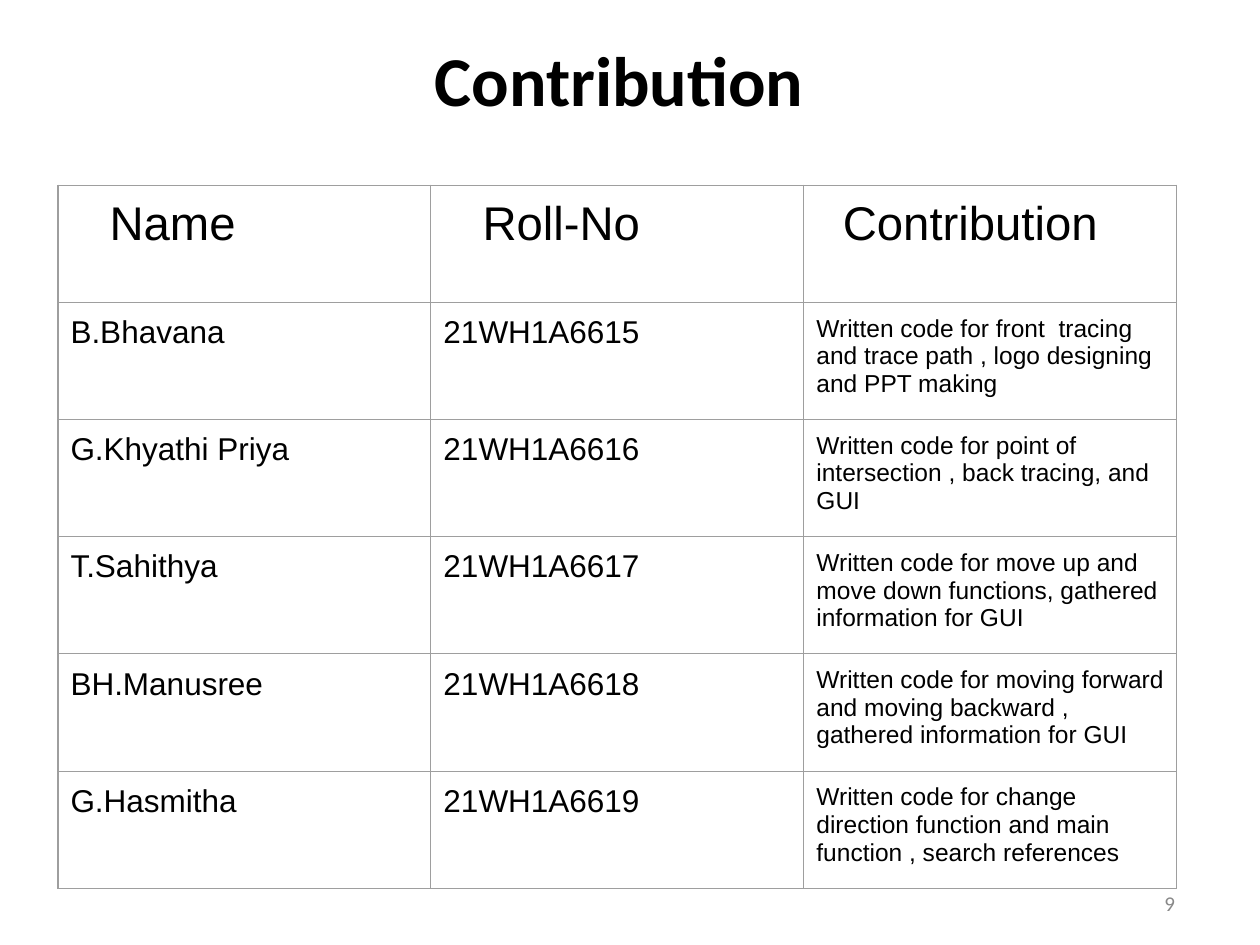
from lxml.etree import SubElement
from pptx import Presentation
from pptx.dml.color import RGBColor
from pptx.enum.text import MSO_ANCHOR as Anchor, MSO_AUTO_SIZE as AutoSize, PP_ALIGN as Align
from pptx.oxml.ns import qn
from pptx.util import Inches, Pt

WIDTH, HEIGHT = 10, 7.5
TABLE_LEFT, TABLE_TOP = 0.46, 1.47
COLUMN_WIDTH, ROW_HEIGHT = 2.96, 0.93
CELL_MARGIN = 0.1
BLACK, GREY, BORDER = "000000", "888888", "9E9E9E"

HEADERS = ["Name", "Roll-No", "Contribution"]
HEADER_INDENTS = [0.31, 0.31, 0.21]
BODY_SIZES = [18, 18, 14]
FIRST_ROLL_NUMBER = 6615
MEMBERS = [
    ("B.Bhavana", "Written code for front  tracing and trace path , logo designing and PPT making"),
    ("G.Khyathi Priya", "Written code for point of intersection , back tracing, and GUI"),
    ("T.Sahithya", "Written code for move up and move down functions, gathered information for GUI"),
    ("BH.Manusree", "Written code for moving forward and moving backward , gathered information for GUI"),
    ("G.Hasmitha", "Written code for change direction function and main function , search references"),
]


def color(value):
    """Turn a hex string into a colour."""
    return RGBColor.from_string(value)


def write(frame, text, size, font="Arial", fill=BLACK, bold=False, align=Align.LEFT):
    """Put one formatted paragraph into a text frame."""
    paragraph = frame.paragraphs[0]
    paragraph.alignment = align
    run = paragraph.add_run()
    run.text = text
    run.font.name, run.font.size, run.font.bold = font, Pt(size), bold
    run.font.color.rgb = color(fill)


def set_box(shape, left, top, width, height):
    """Place a text shape and clear its margins."""
    shape.left, shape.top = Inches(left), Inches(top)
    shape.width, shape.height = Inches(width), Inches(height)
    frame = shape.text_frame
    frame.margin_left = frame.margin_right = frame.margin_top = frame.margin_bottom = 0
    frame.word_wrap = True
    frame.auto_size = AutoSize.NONE
    frame.vertical_anchor = Anchor.TOP
    return frame


def add_title(slide, text):
    """Fill the title placeholder."""
    frame = set_box(slide.shapes.title, 2.83, 0.29, 4.34, 0.67)
    frame.margin_left = Inches(0.62)
    write(frame, text, 40, font="Calibri", bold=True)


def add_page_number(slide, number):
    """Add the page number below the table's right edge."""
    shape = slide.shapes.add_textbox(0, 0, 0, 0)
    frame = set_box(shape, 9.2, 7.07, 0.25, 0.2)
    frame.margin_left = Inches(0.04)
    write(frame, str(number), 12, font="Calibri", fill=GREY)


def style_cell(cell, indent=0):
    """Give a cell thin borders, no fill and even margins."""
    properties = cell._tc.get_or_add_tcPr()
    for side in ("lnL", "lnR", "lnT", "lnB"):
        line = SubElement(properties, qn(f"a:{side}"), w=str(Pt(0.75)))
        solid = SubElement(line, qn("a:solidFill"))
        SubElement(solid, qn("a:srgbClr"), val=BORDER)
    cell.fill.background()
    cell.margin_left = Inches(CELL_MARGIN + indent)
    cell.margin_right = cell.margin_top = cell.margin_bottom = Inches(CELL_MARGIN)
    cell.vertical_anchor = Anchor.TOP


def add_contribution_table(slide):
    """Add the table of members, roll numbers and contributions."""
    rows = [HEADERS] + [
        (name, f"21WH1A{FIRST_ROLL_NUMBER + index}", work)
        for index, (name, work) in enumerate(MEMBERS)
    ]
    table = slide.shapes.add_table(
        len(rows), len(HEADERS), Inches(TABLE_LEFT), Inches(TABLE_TOP),
        Inches(COLUMN_WIDTH * len(HEADERS)), Inches(ROW_HEIGHT * len(rows)),
    ).table
    table.first_row = table.horz_banding = False
    for row_index, row in enumerate(rows):
        is_header = row_index == 0
        for column_index, text in enumerate(row):
            cell = table.cell(row_index, column_index)
            style_cell(cell, HEADER_INDENTS[column_index] if is_header else 0)
            write(cell.text_frame, text, 27 if is_header else BODY_SIZES[column_index])


def main():
    """Build and save the slide."""
    presentation = Presentation()
    presentation.slide_width, presentation.slide_height = Inches(WIDTH), Inches(HEIGHT)
    slide = presentation.slides.add_slide(presentation.slide_layouts[5])
    add_title(slide, "Contribution")
    add_page_number(slide, 9)
    add_contribution_table(slide)
    presentation.save("out.pptx")


main()
